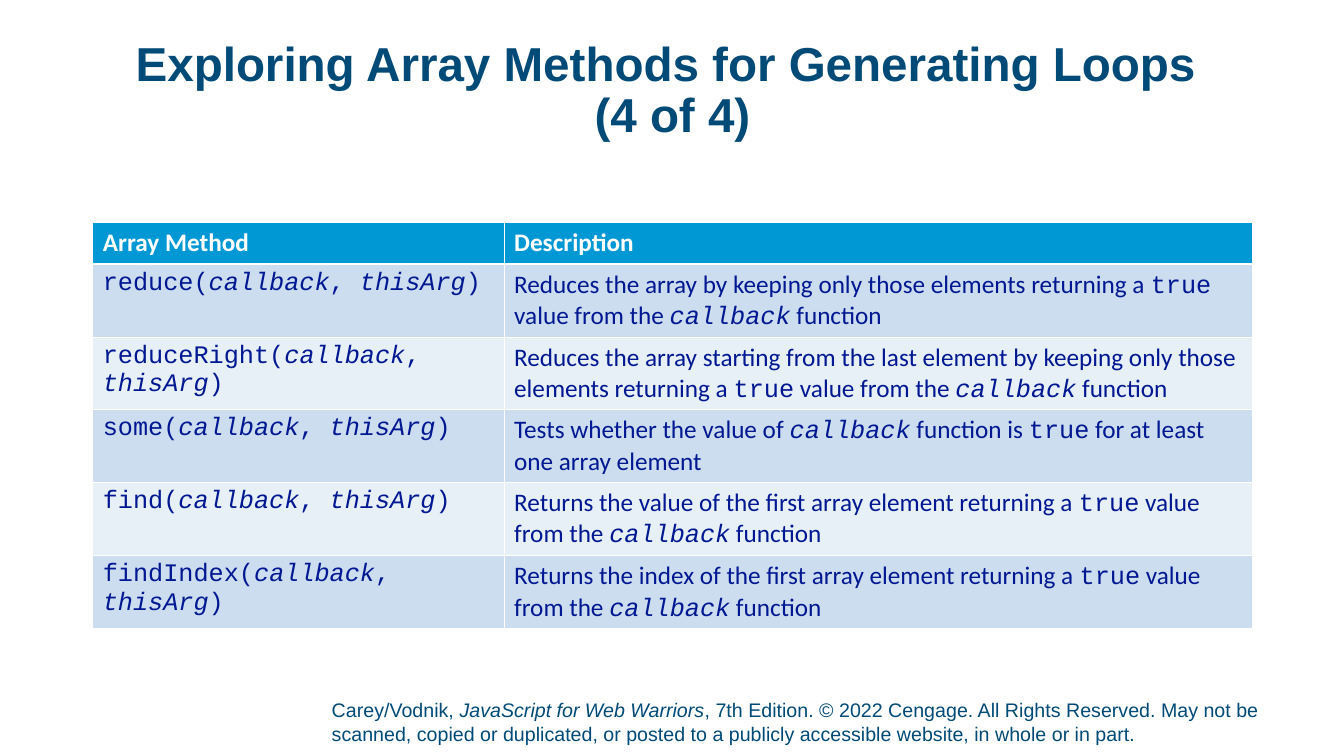
from pptx import Presentation
from pptx.dml.color import RGBColor
from pptx.enum.text import MSO_ANCHOR, MSO_AUTO_SIZE, PP_ALIGN
from pptx.util import Inches, Pt

NAVY = RGBColor(0x00, 0x4A, 0x78)
INK = RGBColor(0x01, 0x18, 0x92)
WHITE = RGBColor(0xFF, 0xFF, 0xFF)
HEADER_BLUE = RGBColor(0x00, 0x98, 0xD4)
BANDS = [RGBColor(0xCC, 0xDD, 0xEF), RGBColor(0xE7, 0xEF, 0xF7)]
ARGUMENTS = ("callback", "thisArg")

HEADINGS = ["Array Method", "Description"]
METHODS = [
    ("reduce(`callback`, `thisArg`)",
     "Reduces the array by keeping only those elements returning a `true` value "
     "from the `callback` function"),
    ("reduceRight(`callback`,\n`thisArg`)",
     "Reduces the array starting from the last element by keeping only those "
     "elements returning a `true` value from the `callback` function"),
    ("some(`callback`, `thisArg`)",
     "Tests whether the value of `callback` function is `true` for at least "
     "one array element"),
    ("find(`callback`, `thisArg`)",
     "Returns the value of the first array element returning a `true` value "
     "from the `callback` function"),
    ("findIndex(`callback`, `thisArg`)",
     "Returns the index of the first array element returning a `true` value "
     "from the `callback` function"),
]


def add_run(paragraph, text, font, size, color, bold=False, italic=False):
    run = paragraph.add_run()
    run.text = text
    run.font.name = font
    run.font.size = Pt(size)
    run.font.color.rgb = color
    run.font.bold = bold
    run.font.italic = italic


def prepare_frame(frame, anchor, bottom):
    frame.word_wrap = True
    frame.auto_size = MSO_AUTO_SIZE.NONE
    frame.vertical_anchor = anchor
    frame.margin_left = frame.margin_right = frame.margin_top = 0
    frame.margin_bottom = Inches(bottom)
    return frame.paragraphs[0]


presentation = Presentation()
presentation.slide_width = Inches(13.33)
presentation.slide_height = Inches(7.5)
slide = presentation.slides.add_slide(presentation.slide_layouts[5])

title = slide.shapes.title
title.left, title.top = Inches(0.92), Inches(0.4)
title.width, title.height = Inches(11.5), Inches(0.74)
paragraph = prepare_frame(title.text_frame, MSO_ANCHOR.TOP, 0)
paragraph.alignment = PP_ALIGN.CENTER
paragraph.line_spacing = 0.9
add_run(paragraph, "Exploring Array Methods for Generating Loops ", "Arial", 34, NAVY, bold=True)
paragraph.add_line_break()
add_run(paragraph, "(4 of 4)", "Arial", 34, NAVY, bold=True)

footer = slide.shapes.add_textbox(Inches(3.29), Inches(6.92), Inches(9.79), Inches(0.52))
paragraph = prepare_frame(footer.text_frame, MSO_ANCHOR.BOTTOM, 0.05)
add_run(paragraph, "Carey/Vodnik, ", "Arial", 14, NAVY)
add_run(paragraph, "JavaScript for Web Warriors", "Arial", 14, NAVY, italic=True)
add_run(paragraph, ", 7th Edition. © 2022 Cengage. All Rights Reserved. May not be scanned, "
        "copied or duplicated, or posted to a publicly accessible website, in whole or in part.",
        "Arial", 14, NAVY)

table = slide.shapes.add_table(len(METHODS) + 1, 2, Inches(0.92), Inches(2.21),
                               Inches(11.5), Inches(3.91)).table
table.columns[0].width = Inches(4.08)
table.columns[1].width = Inches(7.42)
table.rows[0].height = Inches(0.41)

for column, heading in enumerate(HEADINGS):
    cell = table.cell(0, column)
    cell.fill.solid()
    cell.fill.fore_color.rgb = HEADER_BLUE
    add_run(cell.text_frame.paragraphs[0], heading, "Calibri", 18, WHITE, bold=True)

for row, texts in enumerate(METHODS, start=1):
    table.rows[row].height = Inches(0.7)
    for column, text in enumerate(texts):
        cell = table.cell(row, column)
        cell.fill.solid()
        cell.fill.fore_color.rgb = BANDS[(row - 1) % 2]
        for number, line in enumerate(text.split("\n")):
            frame = cell.text_frame
            paragraph = frame.add_paragraph() if number else frame.paragraphs[0]
            for index, piece in enumerate(line.split("`")):
                if piece:
                    is_code = column == 0 or index % 2 == 1
                    add_run(paragraph, piece, "Courier New" if is_code else "Calibri",
                            18, INK, italic=piece in ARGUMENTS)

presentation.save("out.pptx")
